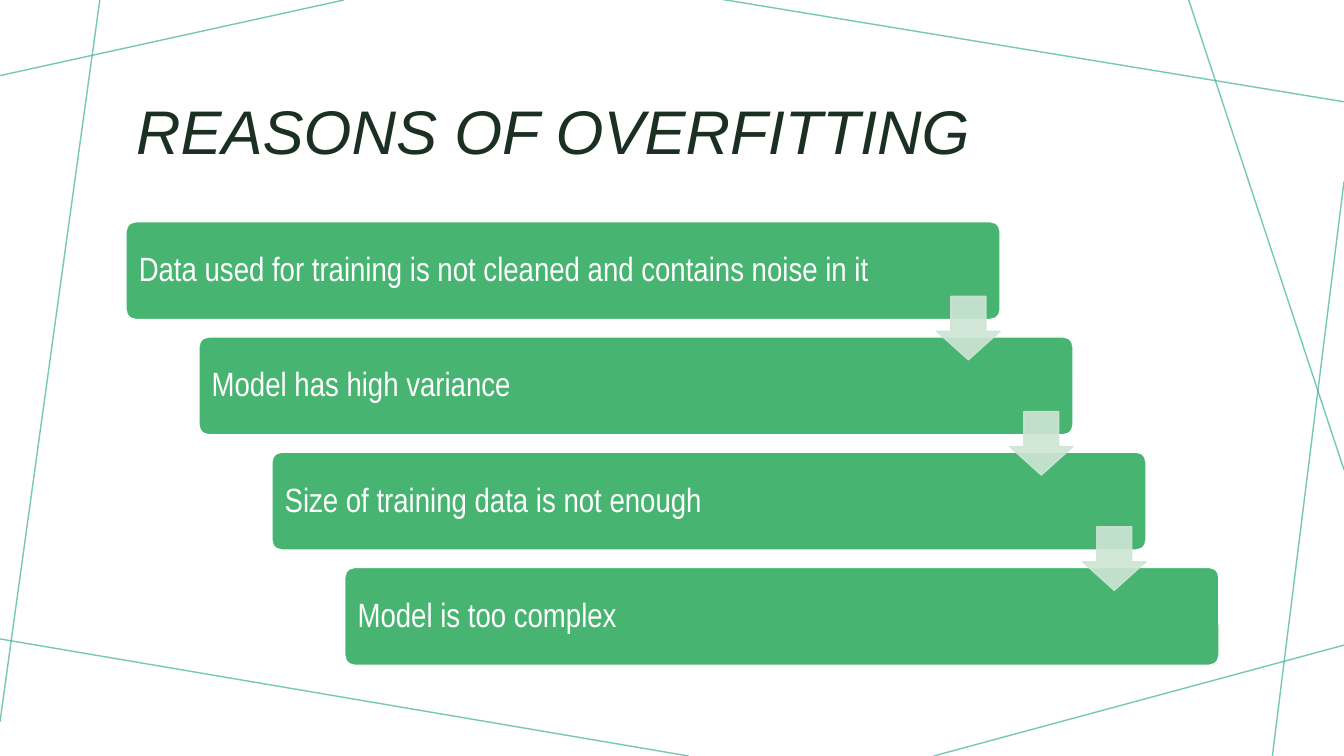
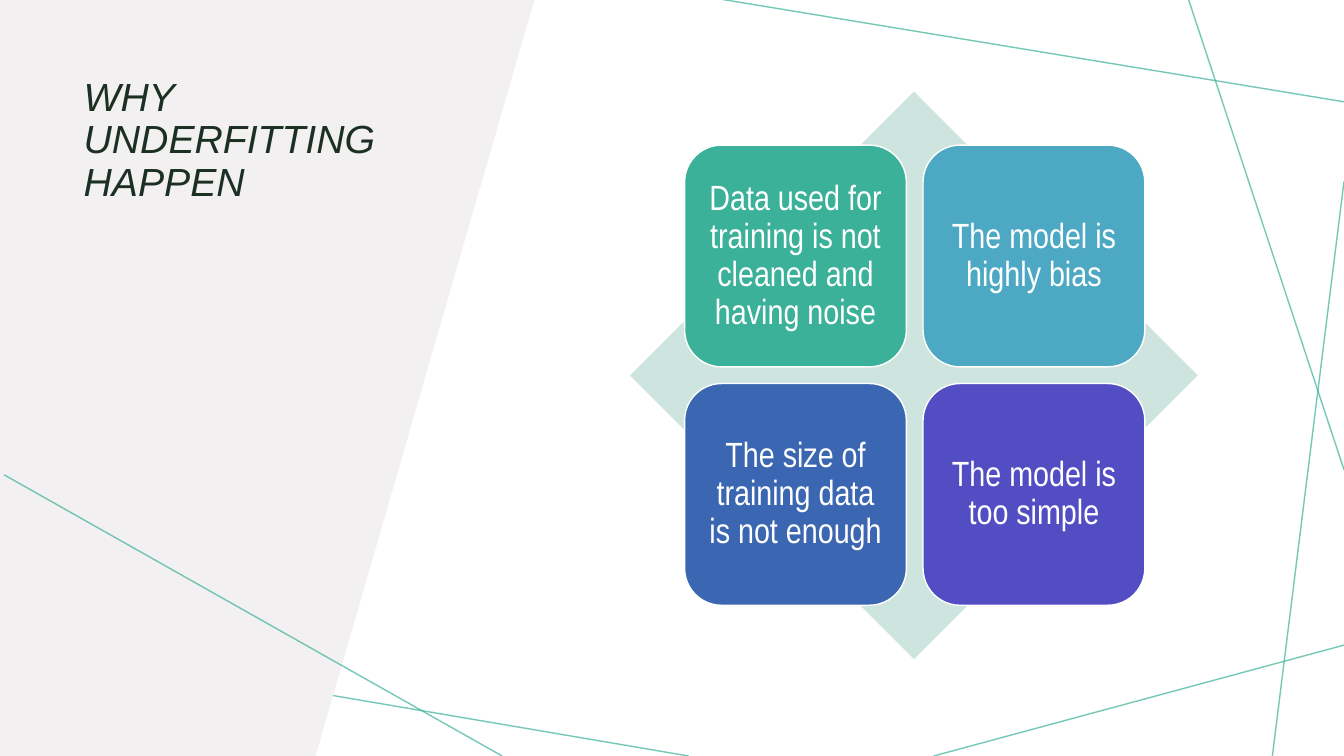
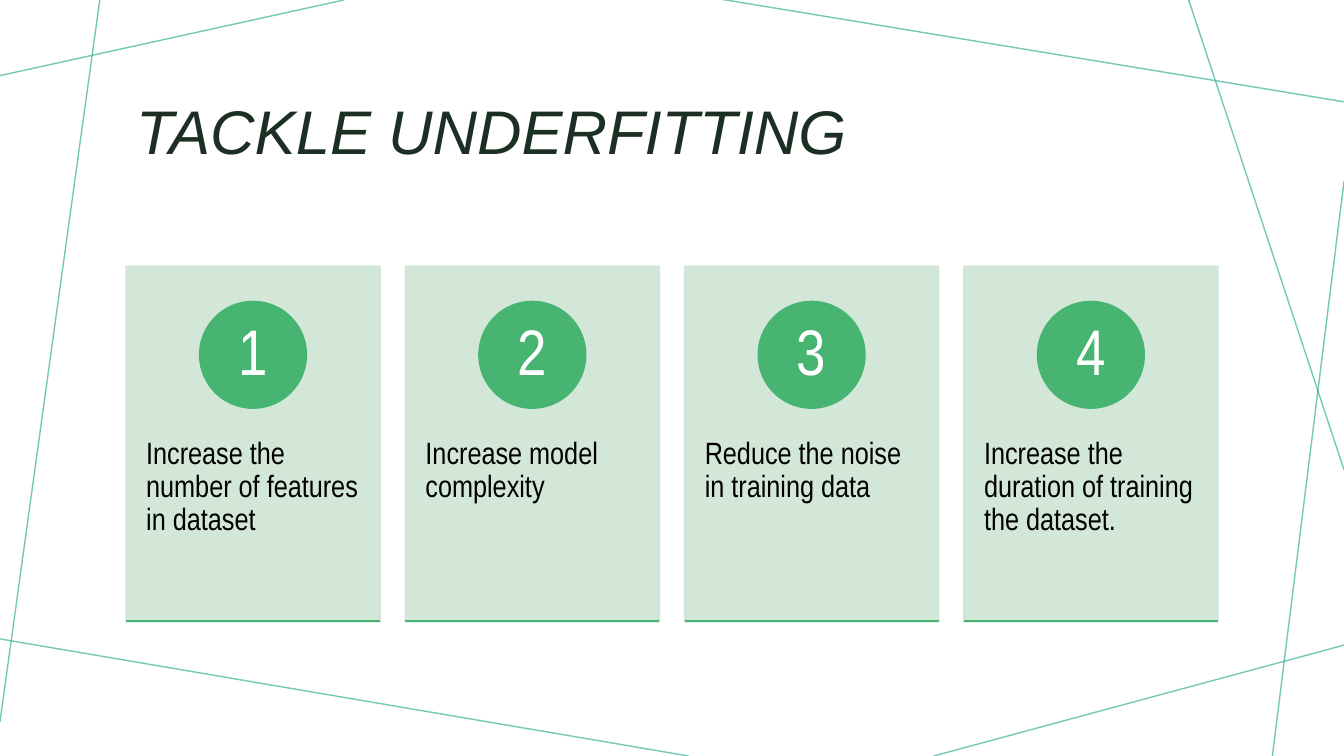
import dataclasses

import pptx
import pptx.dml.color
import pptx.enum.shapes
import pptx.enum.text
import pptx.oxml
import pptx.oxml.ns
import pptx.util

Inches = pptx.util.Inches
Pt = pptx.util.Pt
SHAPE = pptx.enum.shapes.MSO_SHAPE
ALIGN = pptx.enum.text.PP_ALIGN
ANCHOR = pptx.enum.text.MSO_ANCHOR


@dataclasses.dataclass(frozen=True)
class Theme:
    heading_font: str = "Arial"
    body_font: str = "Arial Narrow"
    heading: str = "1B3023"
    teal: str = "3BB19A"
    green: str = "47B571"
    pale_green: str = "CFE5D5"
    pale_teal: str = "CEE4DE"
    panel: str = "F3F0F2"
    blue: str = "4DA9C3"
    navy: str = "3B66B1"
    violet: str = "534DC3"
    white: str = "FFFFFF"
    black: str = "000000"
    title_size: int = 44
    side_title_size: int = 28
    bar_size: int = 24
    tile_size: int = 25
    card_size: int = 22
    number_size: int = 46
    line_width: int = 1
    web_opacity: int = 70
    soft_opacity: int = 90
    line_spacing: float = 0.9


THEME = Theme()
SLIDE_SIZE = (13.33, 7.5)
TITLE_BOX = (1.25, 0.58, 10.83, 1.51)
SIDE_TITLE_BOX = (0.73, 0.72, 3.53, 3.9)

WEB_LINES = [
    ((3.41, 0), (0, 0.75)),
    ((0.99, 0), (0, 7.16)),
    ((6.83, 7.5), (-0.05, 6.33)),
    ((13.33, 6.4), (9.26, 7.5)),
    ((13.33, 1.8), (12.62, 7.5)),
    ((13.33, 4.66), (11.79, 0)),
    ((13.33, 1.01), (7.14, -0.01)),
]
PANEL_OUTLINE = [(3.13, 7.5), (0, 7.5), (0, 0), (5.3, 0)]
PANEL_LINE = ((0.04, 4.71), (4.98, 7.5))

OVERFITTING_TITLE = "REASONS OF OVERFITTING"
OVERFITTING_REASONS = [
    "Data used for training is not cleaned and contains noise in it",
    "Model has high variance",
    "Size of training data is not enough",
    "Model is too complex",
]
UNDERFITTING_TITLE = "WHY UNDERFITTING HAPPEN"
UNDERFITTING_REASONS = [
    ("Data used for training is not cleaned and having noise", THEME.teal),
    ("The model is highly bias", THEME.blue),
    ("The size of training data is not enough", THEME.navy),
    ("The model is too simple", THEME.violet),
]
REMEDIES_TITLE = "TACKLE UNDERFITTING"
REMEDIES = [
    "Increase the number of features in dataset",
    "Increase model complexity",
    "Reduce the noise in training data",
    "Increase the duration of training the dataset.",
]


def rgb(color):
    return pptx.dml.color.RGBColor.from_string(color)


def set_opacity(part, percent):
    for color in part.element.spPr.iter(pptx.oxml.ns.qn("a:srgbClr")):
        alpha = color.makeelement(pptx.oxml.ns.qn("a:alpha"), {"val": str(percent * 1000)})
        color.append(alpha)


def paint(part, fill, line=None, opacity=100):
    part.shadow.inherit = False
    part.fill.solid()
    part.fill.fore_color.rgb = rgb(fill)
    if line:
        part.line.color.rgb = rgb(line)
        part.line.width = Pt(THEME.line_width)
    else:
        part.line.fill.background()
    if opacity < 100:
        set_opacity(part, opacity)


def add_block(slide, preset, box, fill, line=None, opacity=100, adjustments=()):
    block = slide.shapes.add_shape(preset, *map(Inches, box))
    for index, value in enumerate(adjustments):
        block.adjustments[index] = value
    paint(block, fill, line, opacity)
    return block


def add_line(slide, ends, color, opacity=100):
    (x1, y1), (x2, y2) = ends
    line = slide.shapes.add_connector(
        pptx.enum.shapes.MSO_CONNECTOR.STRAIGHT, *map(Inches, (x1, y1, x2, y2)))
    line.line.color.rgb = rgb(color)
    line.line.width = Pt(THEME.line_width)
    properties = line.element.spPr
    properties.append(properties.makeelement(pptx.oxml.ns.qn("a:effectLst"), {}))
    if opacity < 100:
        set_opacity(line, opacity)
    return line


def write(part, text, size, color, font=THEME.body_font, align=ALIGN.LEFT,
          anchor=ANCHOR.MIDDLE, insets=(0.1, 0.1, 0.1, 0.1), italic=False):
    frame = part.text_frame
    frame.text = text
    frame.word_wrap = True
    frame.auto_size = pptx.enum.text.MSO_AUTO_SIZE.NONE
    frame.vertical_anchor = anchor
    frame.margin_left, frame.margin_top, frame.margin_right, frame.margin_bottom = map(Inches, insets)
    paragraph = frame.paragraphs[0]
    paragraph.alignment = align
    paragraph.line_spacing = THEME.line_spacing
    for run in paragraph.runs:
        run.font.name = font
        run.font.size = Pt(size)
        run.font.italic = italic
        run.font.color.rgb = rgb(color)


def write_title(slide, text, box=TITLE_BOX, size=THEME.title_size, anchor=ANCHOR.MIDDLE):
    title = slide.shapes.title
    title.left, title.top, title.width, title.height = map(Inches, box)
    write(title, text, size, THEME.heading, THEME.heading_font, anchor=anchor,
          insets=(0.1, 0.05, 0.1, 0.05), italic=True)


def move_web_to_layout(slide, layout):
    for index, ends in enumerate(WEB_LINES):
        web_line = add_line(slide, ends, THEME.teal, THEME.web_opacity).element
        web_line.nvCxnSpPr.cNvPr.set("id", str(100 + index))
        layout.shapes.element.insert(2 + index, web_line)


def build_overfitting(slide):
    write_title(slide, OVERFITTING_TITLE)
    width, height = 8.67, 0.97
    step_x, step_y = (3.42 - 1.25) / 3, (5.63 - 2.2) / 3
    corners = [(1.25 + i * step_x, 2.2 + i * step_y) for i in range(len(OVERFITTING_REASONS))]
    for (left, top), reason in zip(corners, OVERFITTING_REASONS):
        bar = add_block(slide, SHAPE.ROUNDED_RECTANGLE, (left, top, width, height),
                        THEME.green, THEME.white, adjustments=(0.1,))
        write(bar, reason, THEME.bar_size, THEME.white)
    for left, top in corners[:-1]:
        add_block(slide, SHAPE.DOWN_ARROW, (left + 8.04, top + 0.74, 0.63, 0.63),
                  THEME.pale_green, THEME.pale_green, THEME.soft_opacity, (0.45, 0.55)[::-1])


def build_underfitting(slide):
    start, *corners = [tuple(map(Inches, corner)) for corner in PANEL_OUTLINE]
    outline = slide.shapes.build_freeform(*start, scale=1.0)
    outline.add_line_segments(corners, close=True)
    panel = outline.convert_to_shape()
    paint(panel, THEME.panel)
    slide.shapes.element.insert(2, panel.element)
    write_title(slide, UNDERFITTING_TITLE, SIDE_TITLE_BOX, THEME.side_title_size, ANCHOR.TOP)
    add_line(slide, PANEL_LINE, THEME.teal, THEME.web_opacity)

    add_block(slide, SHAPE.DIAMOND, (6.25, 0.91, 5.63, 5.63), THEME.pale_teal)
    side, step = 2.2, 2.365
    for index, (reason, color) in enumerate(UNDERFITTING_REASONS):
        row, column = divmod(index, 2)
        tile = add_block(slide, SHAPE.ROUNDED_RECTANGLE,
                         (6.79 + column * step, 1.44 + row * step, side, side),
                         color, THEME.white)
        write(tile, reason, THEME.tile_size, THEME.white, align=ALIGN.CENTER)


def build_remedies(slide):
    write_title(slide, REMEDIES_TITLE)
    top, width, height, step, disc = 2.64, 2.52, 3.53, 2.77, 1.06
    for index, remedy in enumerate(REMEDIES):
        left = 1.25 + index * step
        card = add_block(slide, SHAPE.RECTANGLE, (left, top, width, height),
                         THEME.pale_green, THEME.pale_green, THEME.soft_opacity)
        write(card, remedy, THEME.card_size, THEME.black, anchor=ANCHOR.TOP,
              insets=(0.2, 1.7, 0.2, 0.43))
        number = add_block(slide, SHAPE.OVAL,
                           (left + (width - disc) / 2, top + 0.35, disc, disc),
                           THEME.green, THEME.green)
        write(number, str(index + 1), THEME.number_size, THEME.white,
              align=ALIGN.CENTER, insets=(0.08, 0.01, 0.08, 0.01))
        base = top + height - 0.01
        add_line(slide, ((left, base), (left + width, base)), THEME.green)


def main():
    deck = pptx.Presentation()
    deck.slide_width, deck.slide_height = map(Inches, SLIDE_SIZE)
    layout = deck.slide_layouts.get_by_name("Title Only")
    for index, build in enumerate((build_overfitting, build_underfitting, build_remedies)):
        slide = deck.slides.add_slide(layout)
        if index == 0:
            move_web_to_layout(slide, layout)
        build(slide)
    deck.save("out.pptx")


if __name__ == "__main__":
    main()
